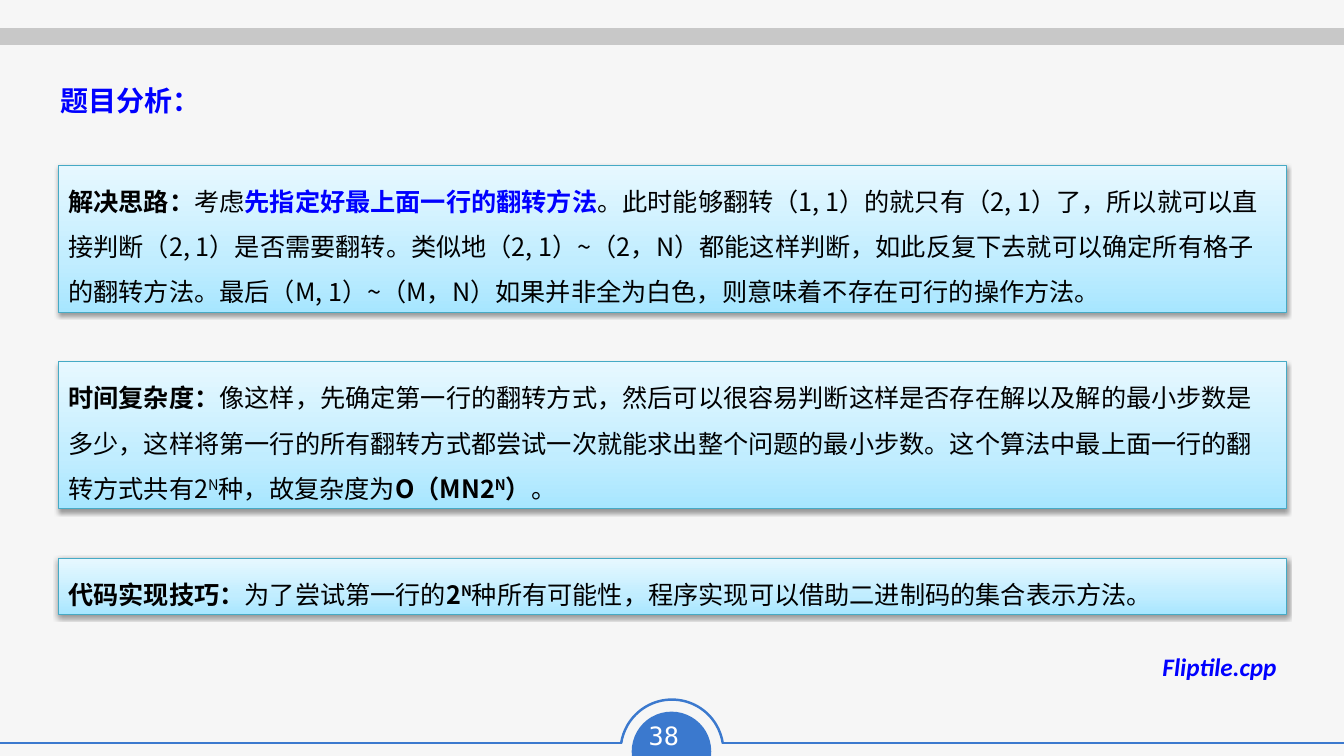
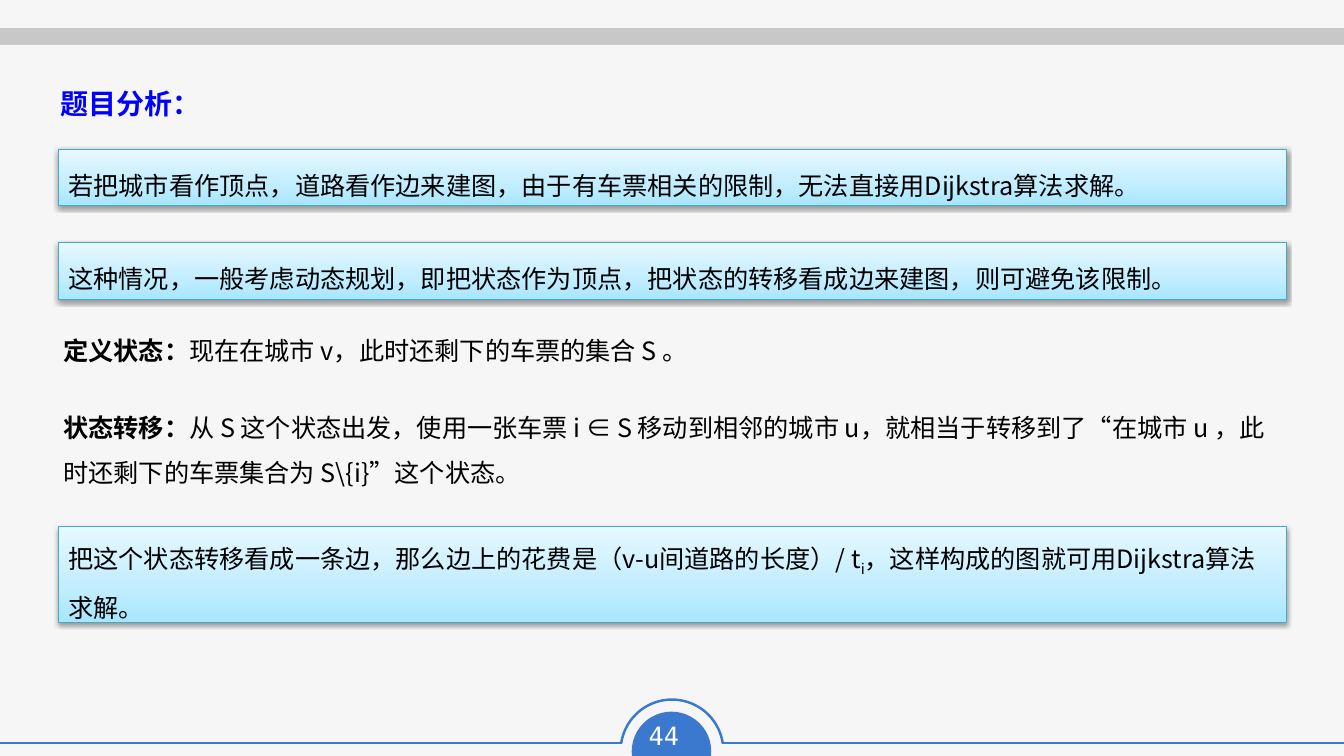
import pptx
import pptx.util
import pptx.dml.color
import pptx.enum.lang
import pptx.enum.shapes
import pptx.enum.text
import pptx.oxml
import pptx.oxml.ns

PX = 9144  # EMU, a hundredth of an inch
WIDTH, HEIGHT = 1334, 750
BACKGROUND, BAND, ACCENT = "F6F6F6", "C8C8C8", "3B79CE"
TEXT, HIGHLIGHT, WHITE, PANEL_EDGE = "000000", "0000FF", "FFFFFF", "46AAC5"
PANEL_STOPS = [(0, "A7E6FF"), (35, "C1EDFF"), (100, "E7F8FF")]
CJK, LATIN, MONO = "Noto Sans CJK SC", "Calibri", "DejaVu Sans Mono"
PANEL_LEFT, PANEL_WIDTH = 58, 1219

MSO_SHAPE = pptx.enum.shapes.MSO_SHAPE
PP_ALIGN = pptx.enum.text.PP_ALIGN
qn = pptx.oxml.ns.qn
NS = pptx.oxml.ns.nsdecls("a")
rgb = pptx.dml.color.RGBColor.from_string


def write(tf, runs, size=18, font=CJK, color=TEXT, spacing=None, wrap=True, align=PP_ALIGN.LEFT):
    """Fill a text frame with (text, flags) runs.

    Flags: b bold, i italic, h highlighted, ^ superscript, _ subscript.
    """
    tf.word_wrap = wrap
    tf.auto_size = pptx.enum.text.MSO_AUTO_SIZE.SHAPE_TO_FIT_TEXT
    p = tf.paragraphs[0]
    p.alignment = align
    p.line_spacing = spacing
    for text, flags in runs:
        r = p.add_run()
        r.text = text
        r.font.size = pptx.util.Pt(size)
        r.font.name = font
        r.font.bold = "b" in flags
        r.font.italic = "i" in flags
        r.font.color.rgb = rgb(HIGHLIGHT if "h" in flags else color)
        r.font.language_id = pptx.enum.lang.MSO_LANGUAGE_ID.SIMPLIFIED_CHINESE
        rPr = r.font._element
        rPr.append(pptx.oxml.parse_xml(f'<a:ea {NS} typeface="{font}"/>'))
        if "^" in flags:
            rPr.set("baseline", "30000")
        elif "_" in flags:
            rPr.set("baseline", "-25000")


def style_panel(sp):
    """Give a rectangle the pale blue gradient, thin edge and soft shadow."""
    sp.line.color.rgb = rgb(PANEL_EDGE)
    sp.line.width = pptx.util.Pt(0.75)
    sp.fill.gradient()
    sp.fill.gradient_angle = 90
    stops = "".join(f'<a:gs pos="{pos * 1000}"><a:srgbClr val="{color}"/></a:gs>'
                    for pos, color in PANEL_STOPS)
    spPr = sp.element.spPr
    grad = spPr.find(qn("a:gradFill"))
    grad.replace(grad.find(qn("a:gsLst")), pptx.oxml.parse_xml(f"<a:gsLst {NS}>{stops}</a:gsLst>"))
    sp.shadow.inherit = False
    spPr.find(qn("a:effectLst")).append(pptx.oxml.parse_xml(
        f'<a:outerShdw {NS} blurRad="40000" dist="20000" dir="5400000" rotWithShape="0">'
        '<a:srgbClr val="000000"><a:alpha val="38000"/></a:srgbClr></a:outerShdw>'))


# Each slide: page number, title top, panels (top, height, runs),
# and notes (left, top, width, height, runs, text options)
SLIDES = [
    (38, 78, [
        (164, 146, [
            ("解决思路：", "b"), ("考虑", ""), ("先指定好最上面一行的翻转方法", "bh"),
            ("。此时能够翻转（1, 1）的就只有（2, 1）了，所以就可以直接判断（2, 1）是否需要翻转。"
             "类似地（2, 1）~（2，N）都能这样判断，如此反复下去就可以确定所有格子的翻转方法。"
             "最后（M, 1）~（M，N）如果并非全为白色，则意味着不存在可行的操作方法。", "")]),
        (359, 146, [
            ("时间复杂度：", "b"),
            ("像这样，先确定第一行的翻转方式，然后可以很容易判断这样是否存在解以及解的最小步数是多少，"
             "这样将第一行的所有翻转方式都尝试一次就能求出整个问题的最小步数。"
             "这个算法中最上面一行的翻转方式共有2", ""),
            ("N", "^"), ("种，故复杂度为", ""), ("O（MN2", "b"), ("N", "b^"), ("）", "b"), ("。", "")]),
        (554, 56, [
            ("代码实现技巧：", "b"), ("为了尝试第一行的", ""), ("2", "b"), ("N", "b^"),
            ("种所有可能性，程序实现可以借助二进制码的集合表示方法。", "")]),
    ], [
        (1144, 641, 135, 40, [("Fliptile.cpp", "bih")], {"font": LATIN, "wrap": False}),
    ]),
    (44, 81, [
        (148, 56, [("若把城市看作顶点，道路看作边来建图，由于有车票相关的限制，无法直接用Dijkstra算法求解。", "")]),
        (241, 56, [("这种情况，一般考虑动态规划，即把状态作为顶点，把状态的转移看成边来建图，则可避免该限制。", "")]),
        (522, 96, [
            ("把这个状态转移看成一条边，那么边上的花费是（v-u间道路的长度）/ t", ""), ("i", "_"),
            ("，这样构成的图就可用Dijkstra算法求解。", "")]),
    ], [
        (53, 328, 651, 40, [
            ("定义状态：", "b"), ("现在在城市 v，此时还剩下的车票的集合 S 。", "")], {}),
        (53, 389, 1224, 96, [
            ("状态转移：", "b"),
            ("从 S 这个状态出发，使用一张车票 i ∈ S 移动到相邻的城市 u，就相当于转移到了“在城市 u ，"
             "此时还剩下的车票集合为 S\\{i}”这个状态。", "")], {"spacing": 1.5}),
    ]),
]

prs = pptx.Presentation()
prs.slide_width, prs.slide_height = WIDTH * PX, HEIGHT * PX
fill = prs.slide_master.background.fill
fill.solid()
fill.fore_color.rgb = rgb(BACKGROUND)
layout = prs.slide_layouts.get_by_name("Title Only")
slides = [prs.slides.add_slide(layout) for _ in SLIDES]

# Band, footer rule and page badge are drawn once and moved to the layout
shapes = slides[0].shapes
badge = shapes.add_shape(MSO_SHAPE.CHORD, 627 * PX, 706 * PX, 79 * PX, 79 * PX)
badge.adjustments[0], badge.adjustments[1] = 35.772, 153.29
badge.rotation = 112.4
badge.fill.solid()
badge.fill.fore_color.rgb = rgb(ACCENT)
badge.line.fill.background()
badge.shadow.inherit = False

ring = shapes.add_shape(MSO_SHAPE.ARC, 616 * PX, 694 * PX, 102 * PX, 102 * PX)
ring.adjustments[0], ring.adjustments[1] = 113.17, 210.975
ring.fill.background()
ring.line.color.rgb = rgb(ACCENT)
ring.line.width = pptx.util.Pt(1.77)
ring.shadow.inherit = False

frame = [badge, ring]
for x1, x2, y, color, weight in [
    (0, WIDTH, 36, BAND, 12),
    (0, 617, 737, ACCENT, 1.77),
    (717, WIDTH, 737, ACCENT, 1.77),
]:
    rule = shapes.add_connector(pptx.enum.shapes.MSO_CONNECTOR.STRAIGHT, x1 * PX, y * PX, x2 * PX, y * PX)
    rule.line.color.rgb = rgb(color)
    rule.line.width = pptx.util.Pt(weight)
    rule.element.spPr.append(pptx.oxml.parse_xml(f"<a:effectLst {NS}/>"))
    frame.append(rule)
for sp in frame:
    layout.shapes.element.append(sp.element)

for s, (number, title_top, panels, notes) in zip(slides, SLIDES):
    title = s.shapes.title
    title.left, title.top, title.width, title.height = 50 * PX, title_top * PX, 160 * PX, 44 * PX
    title.text_frame.vertical_anchor = pptx.enum.text.MSO_ANCHOR.TOP
    write(title.text_frame, [("题目分析：", "bh")], size=20, wrap=False)

    for top, height, runs in panels:
        panel = s.shapes.add_shape(MSO_SHAPE.RECTANGLE, PANEL_LEFT * PX, top * PX, PANEL_WIDTH * PX, height * PX)
        style_panel(panel)
        panel.text_frame.vertical_anchor = pptx.enum.text.MSO_ANCHOR.MIDDLE
        write(panel.text_frame, runs, spacing=1.5)

    page = (623, 710, 87, 40, [(f"{number} ", "")],
            {"font": MONO, "color": WHITE, "align": PP_ALIGN.CENTER})
    for left, top, width, height, runs, options in notes + [page]:
        box = s.shapes.add_textbox(left * PX, top * PX, width * PX, height * PX)
        write(box.text_frame, runs, **options)

prs.save("out.pptx")
